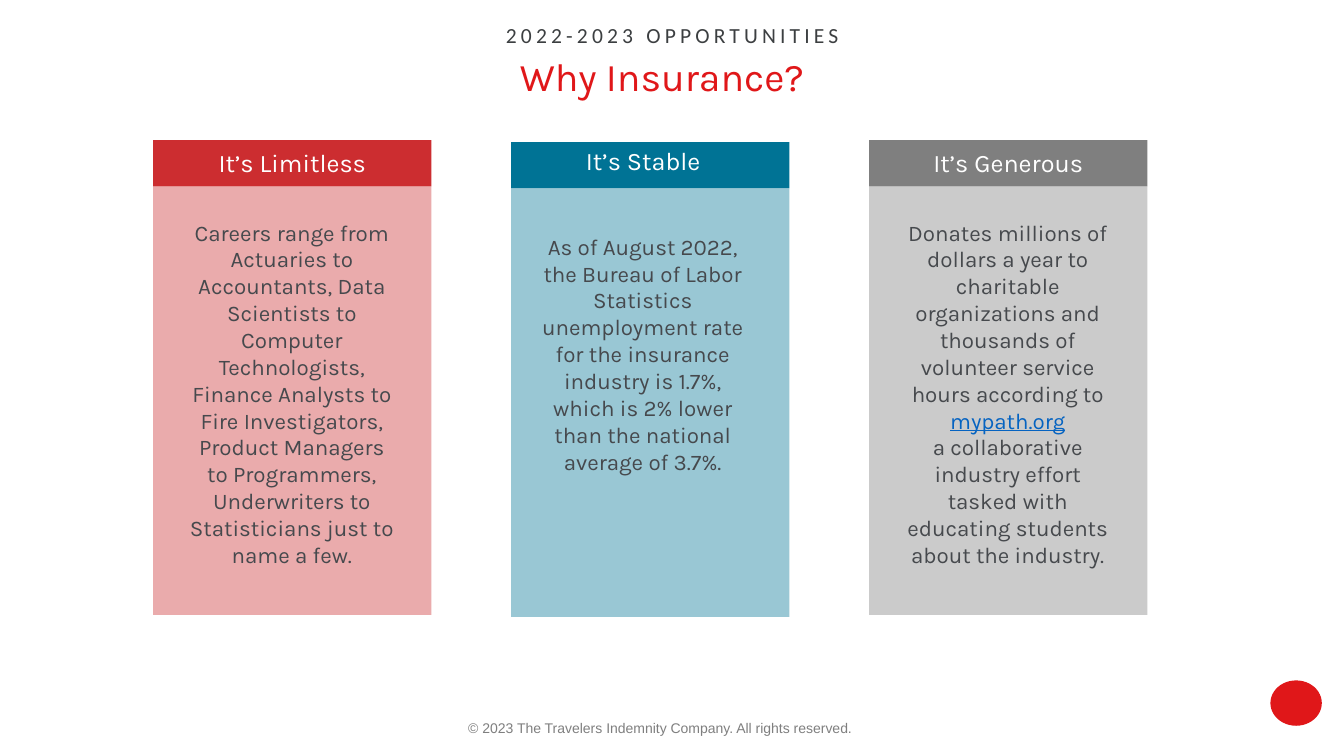
from lxml.etree import SubElement
from pptx import Presentation
from pptx.dml.color import RGBColor
from pptx.enum.shapes import MSO_SHAPE
from pptx.enum.text import MSO_ANCHOR, MSO_AUTO_SIZE, PP_ALIGN
from pptx.oxml.ns import qn
from pptx.util import Inches, Pt

RED = RGBColor(0xCC, 0x2D, 0x30)
BLUE = RGBColor(0x00, 0x73, 0x95)
GRAY = RGBColor(0x7F, 0x7F, 0x7F)
BRIGHT_RED = RGBColor(0xE0, 0x17, 0x19)
WHITE = RGBColor(0xFF, 0xFF, 0xFF)
CHARCOAL = RGBColor(0x3C, 0x3F, 0x41)
SLATE = RGBColor(0x46, 0x49, 0x4D)
LINK_BLUE = RGBColor(0x05, 0x63, 0xC1)

TITLE = "Why Insurance?"
EYEBROW = "2022-2023 OPPORTUNITIES"
COPYRIGHT = "© 2023 The Travelers Indemnity Company. All rights reserved."
LINK = "mypath.org"
CARDS = [
    dict(heading="It’s Limitless", color=RED, top=1.39, text_shift=0,
         heading_top=1.41, body_top=2.12, body_height=3.87, body=[[
             "Careers range from Actuaries to Accountants, Data Scientists to "
             "Computer Technologists, Finance Analysts to Fire Investigators, "
             "Product Managers to Programmers, Underwriters to Statisticians "
             "just to name a few."]]),
    dict(heading="It’s Stable", color=BLUE, top=1.41, text_shift=-0.07,
         heading_top=1.39, body_top=2.26, body_height=2.79, body=[[
             "As of August 2022, the Bureau of Labor Statistics unemployment "
             "rate for the insurance industry is 1.7%, which is 2% lower than "
             "the national average of 3.7%."]]),
    dict(heading="It’s Generous", color=GRAY, top=1.39, text_shift=0,
         heading_top=1.41, body_top=2.12, body_height=3.6, body=[
             ["Donates millions of dollars a year to charitable organizations "
              "and thousands of volunteer service hours according to ", LINK],
             ["a collaborative industry effort tasked with educating students "
              "about the industry."]]),
]
CARD_LEFT, CARD_STEP, CARD_WIDTH = 1.52, 3.55, 2.76
HEADER_HEIGHT, PANEL_HEIGHT = 0.46, 4.25
BODY_INSET, BODY_WIDTH = 0.24, 2.27


def fill_text(box, paragraphs, font, size, color, spacing=None):
    """Write centred paragraphs, each a list of runs, into a box."""
    frame = box.text_frame
    frame.word_wrap = True
    for index, spans in enumerate(paragraphs):
        para = frame.paragraphs[0] if index == 0 else frame.add_paragraph()
        para.alignment = PP_ALIGN.CENTER
        para.space_before = Pt(0)
        if spacing:
            para.line_spacing = spacing
        para.font.name = font
        para.font.size = Pt(size)
        para.font.color.rgb = color
        for text in spans:
            span = para.add_run()
            span.text = text
            if text == LINK:
                span.font.color.rgb = LINK_BLUE
                span.font.underline = True


def add_text(slide, bounds, paragraphs, font, size, color, spacing=None):
    """Add a text box with centred paragraphs."""
    box = slide.shapes.add_textbox(*map(Inches, bounds))
    fill_text(box, paragraphs, font, size, color, spacing)
    return box


def add_block(slide, kind, bounds, color, opacity=100):
    """Add a filled shape without outline or shadow."""
    block = slide.shapes.add_shape(kind, *map(Inches, bounds))
    block.shadow.inherit = False
    block.line.fill.background()
    block.fill.solid()
    block.fill.fore_color.rgb = color
    if opacity < 100:
        tint = block._element.spPr.find(qn("a:solidFill"))[0]
        SubElement(tint, qn("a:alpha"), val=str(opacity * 1000))


def add_card(slide, left, card):
    """Add a header band, a tinted panel and their texts."""
    top, text_left = card["top"], left + card["text_shift"]
    add_block(slide, MSO_SHAPE.RECTANGLE,
              (left, top, CARD_WIDTH, HEADER_HEIGHT), card["color"])
    add_block(slide, MSO_SHAPE.RECTANGLE,
              (left, top + HEADER_HEIGHT, CARD_WIDTH, PANEL_HEIGHT),
              card["color"], 40)
    add_text(slide, (text_left, card["heading_top"], CARD_WIDTH, 0.4),
             [[card["heading"]]], "Karla", 18, WHITE)
    add_text(slide, (text_left + BODY_INSET, card["body_top"],
                     BODY_WIDTH, card["body_height"]),
             card["body"], "Karla", 16, SLATE)


def main():
    """Build the slide and save it."""
    deck = Presentation()
    deck.slide_width, deck.slide_height = Inches(13.33), Inches(7.5)
    page = deck.slides.add_slide(deck.slide_layouts[5])

    title = page.shapes.title
    title.left, title.top = Inches(0.4), Inches(0.55)
    title.width, title.height = Inches(12.33), Inches(0.49)
    title.text_frame.auto_size = MSO_AUTO_SIZE.NONE
    title.text_frame.vertical_anchor = MSO_ANCHOR.MIDDLE
    fill_text(title, [[TITLE]], "Karla", 28, BRIGHT_RED, 0.8)

    eyebrow = add_text(page, (1.42, 0.23, 10.5, 0.3), [[EYEBROW]],
                       "Calibri", 15.4, CHARCOAL, 0.7)
    eyebrow.text_frame.vertical_anchor = MSO_ANCHOR.MIDDLE
    for span in eyebrow.text_frame.paragraphs[0].runs:
        span.font._element.set("spc", "300")

    for index, card in enumerate(CARDS):
        add_card(page, CARD_LEFT + index * CARD_STEP, card)

    add_text(page, (3.8, 7.09, 5.49, 0.27), [[COPYRIGHT]], "Arial", 10, GRAY)
    add_block(page, MSO_SHAPE.OVAL, (12.6, 6.75, 0.51, 0.45), BRIGHT_RED)
    deck.save("out.pptx")


if __name__ == "__main__":
    main()
